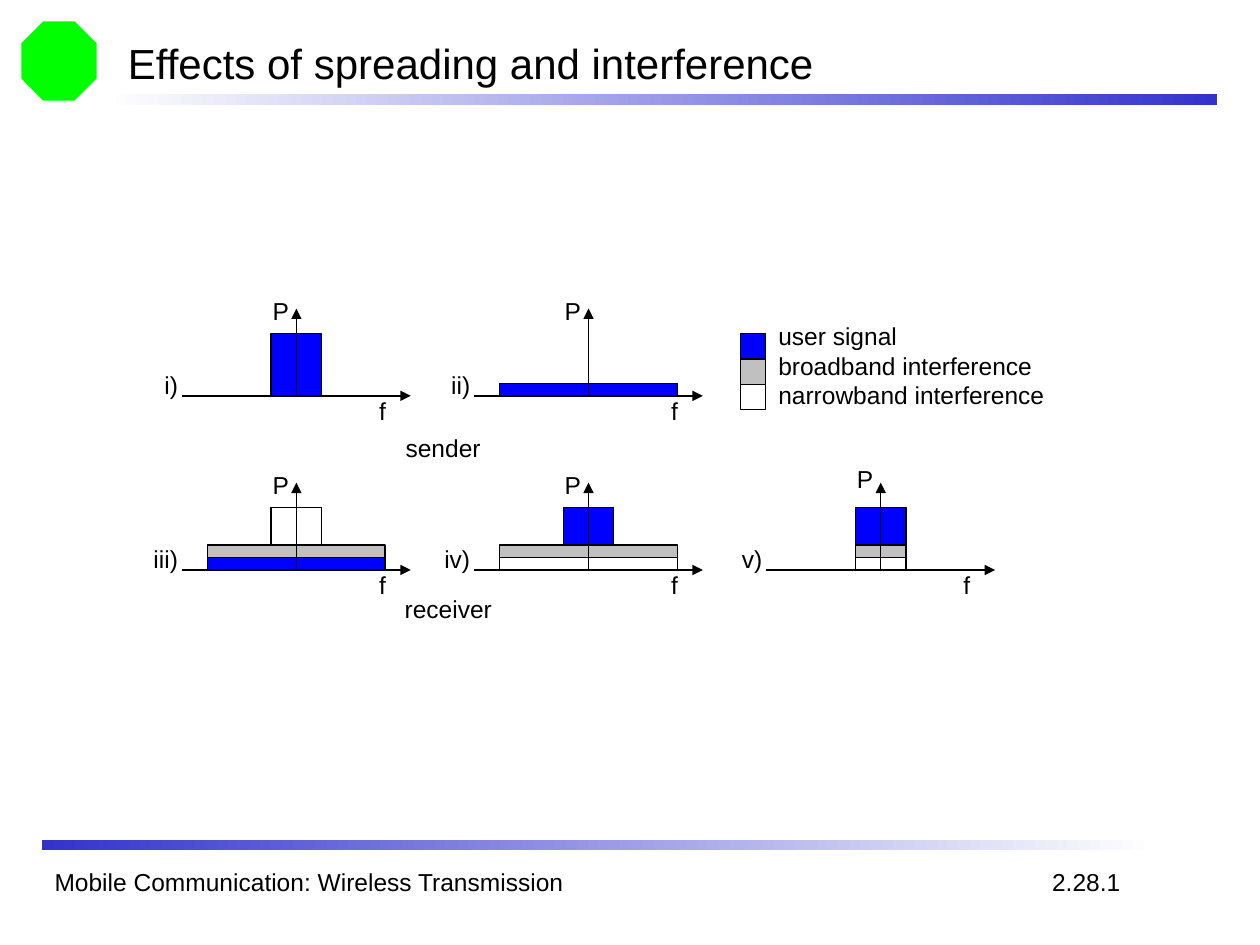
import pptx
import pptx.dml.color
import pptx.enum.shapes
import pptx.enum.text
import pptx.oxml
import pptx.oxml.ns
import pptx.util

Cm = pptx.util.Cm
Pt = pptx.util.Pt
RGBColor = pptx.dml.color.RGBColor
Align = pptx.enum.text.PP_ALIGN
AutoSize = pptx.enum.text.MSO_AUTO_SIZE
Shape = pptx.enum.shapes.MSO_SHAPE

BLACK = RGBColor(0x00, 0x00, 0x00)
WHITE = RGBColor(0xFF, 0xFF, 0xFF)
USER_BLUE = RGBColor(0x00, 0x00, 0xFF)
BROADBAND_GREY = RGBColor(0xC0, 0xC0, 0xC0)
RULE_BLUE = RGBColor(0x33, 0x33, 0xCC)
EMBLEM_GREEN = RGBColor(0x00, 0xFF, 0x00)

NARROW, WIDE = 1.02, 3.58
LOW, MEDIUM, HIGH = 0.25, 0.76, 1.25
LINE_HEIGHT = 0.86
GRID_LEFT, GRID_TOP = 3.67, 6.22
COLUMN_STEP, ROW_STEP = 5.89, 3.51
PLOT_WIDTH, PLOT_HEIGHT = 4.61, 1.76

SPECTRA = [
    ("i)", 0.8, 0, 0, [(USER_BLUE, NARROW, HIGH)]),
    ("ii)", 0.9, 1, 0, [(USER_BLUE, WIDE, LOW)]),
    ("iii)", 1.02, 0, 1, [(USER_BLUE, WIDE, LOW), (BROADBAND_GREY, WIDE, LOW),
                          (WHITE, NARROW, MEDIUM)]),
    ("iv)", 1.05, 1, 1, [(WHITE, WIDE, LOW), (BROADBAND_GREY, WIDE, LOW),
                         (USER_BLUE, NARROW, MEDIUM)]),
    ("v)", 0.94, 2, 1, [(WHITE, NARROW, LOW), (BROADBAND_GREY, NARROW, LOW),
                        (USER_BLUE, NARROW, MEDIUM)]),
]
SIGNALS = [
    ("user signal", USER_BLUE),
    ("broadband interference", BROADBAND_GREY),
    ("narrowband interference", WHITE),
]


def add_text(slide, text, left, top, width, height=LINE_HEIGHT, size=14,
             align=Align.LEFT, anchor=pptx.enum.text.MSO_ANCHOR.TOP, wrap=False):
    box = slide.shapes.add_textbox(Cm(left), Cm(top), Cm(width), Cm(height))
    frame = box.text_frame
    frame.word_wrap = wrap
    frame.auto_size = AutoSize.NONE if wrap else AutoSize.SHAPE_TO_FIT_TEXT
    frame.vertical_anchor = anchor
    frame.text = text
    for paragraph in frame.paragraphs:
        paragraph.alignment = align
        paragraph.font.name = "Arial"
        paragraph.font.size = Pt(size)
        paragraph.font.color.rgb = BLACK


def add_block(slide, left, top, width, height, color, outlined=True, kind=Shape.RECTANGLE):
    block = slide.shapes.add_shape(kind, Cm(left), Cm(top), Cm(width), Cm(height))
    block.shadow.inherit = False
    block.fill.solid()
    block.fill.fore_color.rgb = color
    if outlined:
        block.line.color.rgb = BLACK
        block.line.width = Pt(0.75)
    else:
        block.line.fill.background()
    return block


def add_rule(slide, left, top, width, height, start, end):
    rule = add_block(slide, left, top, width, height, start, outlined=False)
    rule.fill.gradient()
    rule.fill.gradient_angle = 0
    for stop, color in zip(rule.fill.gradient_stops, (start, end)):
        stop.color.rgb = color


def add_axis(slide, x1, y1, x2, y2):
    axis = slide.shapes.add_connector(
        pptx.enum.shapes.MSO_CONNECTOR.STRAIGHT, Cm(x1), Cm(y1), Cm(x2), Cm(y2))
    axis.line.color.rgb = BLACK
    axis.line.width = Pt(0.75)
    line = axis.line._get_or_add_ln()
    line.append(pptx.oxml.parse_xml(
        f'<a:tailEnd {pptx.oxml.ns.nsdecls("a")} type="triangle"/>'))
    axis._element.spPr.append(pptx.oxml.parse_xml(
        f'<a:effectLst {pptx.oxml.ns.nsdecls("a")}/>'))


def add_header(slide, left, top, width):
    add_block(slide, left, top, 1.52, 1.6, EMBLEM_GREEN, outlined=False, kind=Shape.OCTAGON)
    add_text(slide, "Effects of spreading and interference", left + 1.9, top + 0.2,
             21.59, height=1.27, size=24, anchor=pptx.enum.text.MSO_ANCHOR.MIDDLE, wrap=True)
    add_rule(slide, left + 1.68, top + 1.47, width - 1.68, 0.21, WHITE, RULE_BLUE)


def add_footer(slide, left, top, width):
    add_rule(slide, left, top, width, 0.21, RULE_BLUE, WHITE)
    add_text(slide, "Mobile Communication: Wireless Transmission", left, top + 0.42,
             12.5, wrap=True)
    add_text(slide, "2.28.1", left + 20.11, top + 0.42, 1.88)


def add_spectrum(slide, left, top, width, height, label, label_width, bars, power_rise=0.38):
    center = left + width / 2
    baseline = top + height
    level = baseline
    for color, bar_width, bar_height in bars:
        level -= bar_height
        add_block(slide, center - bar_width / 2, level, bar_width, bar_height, color)
    add_axis(slide, left, baseline, left + width, baseline)
    add_axis(slide, center, baseline, center, top)
    for text, right, text_top, text_width in (
            ("P", center + 0.1, top - power_rise, 0.84),
            ("f", left + width - 0.25, baseline - 0.13, 0.64),
            (label, left + 0.17, baseline - 0.64, label_width)):
        add_text(slide, text, right - text_width, text_top, text_width, align=Align.RIGHT)


def add_legend(slide, left, top, swatch):
    for row, (_, color) in enumerate(SIGNALS):
        add_block(slide, left, top + row * swatch, swatch, swatch, color)
    add_text(slide, "\n".join(name for name, _ in SIGNALS), left + swatch, top - 0.38,
             5.87, height=2.03)


def main():
    presentation = pptx.Presentation()
    presentation.slide_width = Cm(25.4)
    presentation.slide_height = Cm(19.05)
    slide = presentation.slides.add_slide(presentation.slide_layouts[6])
    add_header(slide, 0.43, 0.43, 24.11)
    add_footer(slide, 0.85, 16.93, 22.43)
    for label, label_width, column, row, bars in SPECTRA:
        add_spectrum(slide, GRID_LEFT + column * COLUMN_STEP, GRID_TOP + row * ROW_STEP,
                     PLOT_WIDTH, PLOT_HEIGHT, label, label_width, bars,
                     power_rise=0.5 if column == 2 else 0.38)
    add_text(slide, "sender", 7.89, 8.61, 2.05, align=Align.RIGHT)
    add_text(slide, "receiver", 7.87, 11.86, 2.3, align=Align.RIGHT)
    add_legend(slide, 14.93, 6.73, 0.51)
    presentation.save("out.pptx")


if __name__ == "__main__":
    main()
